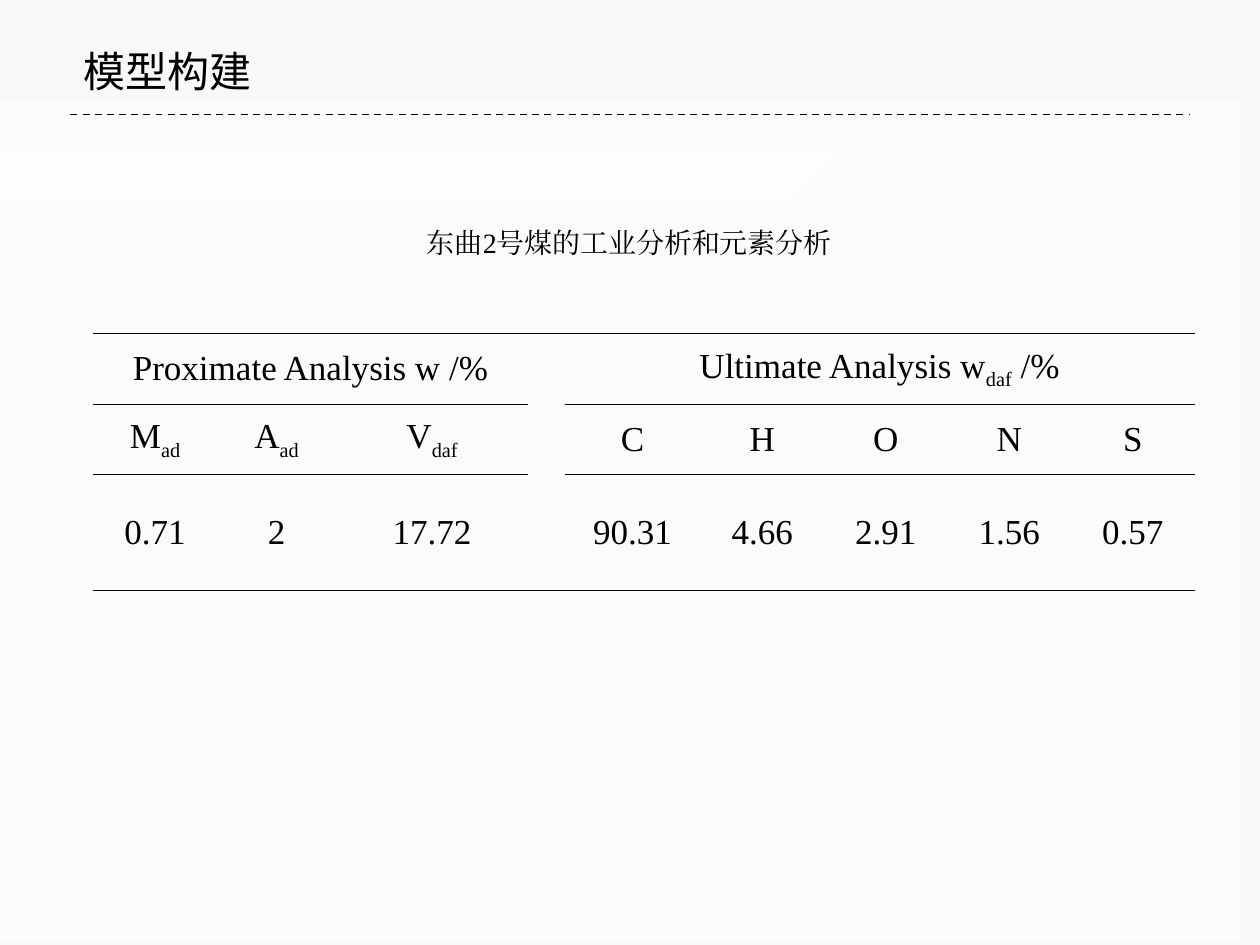
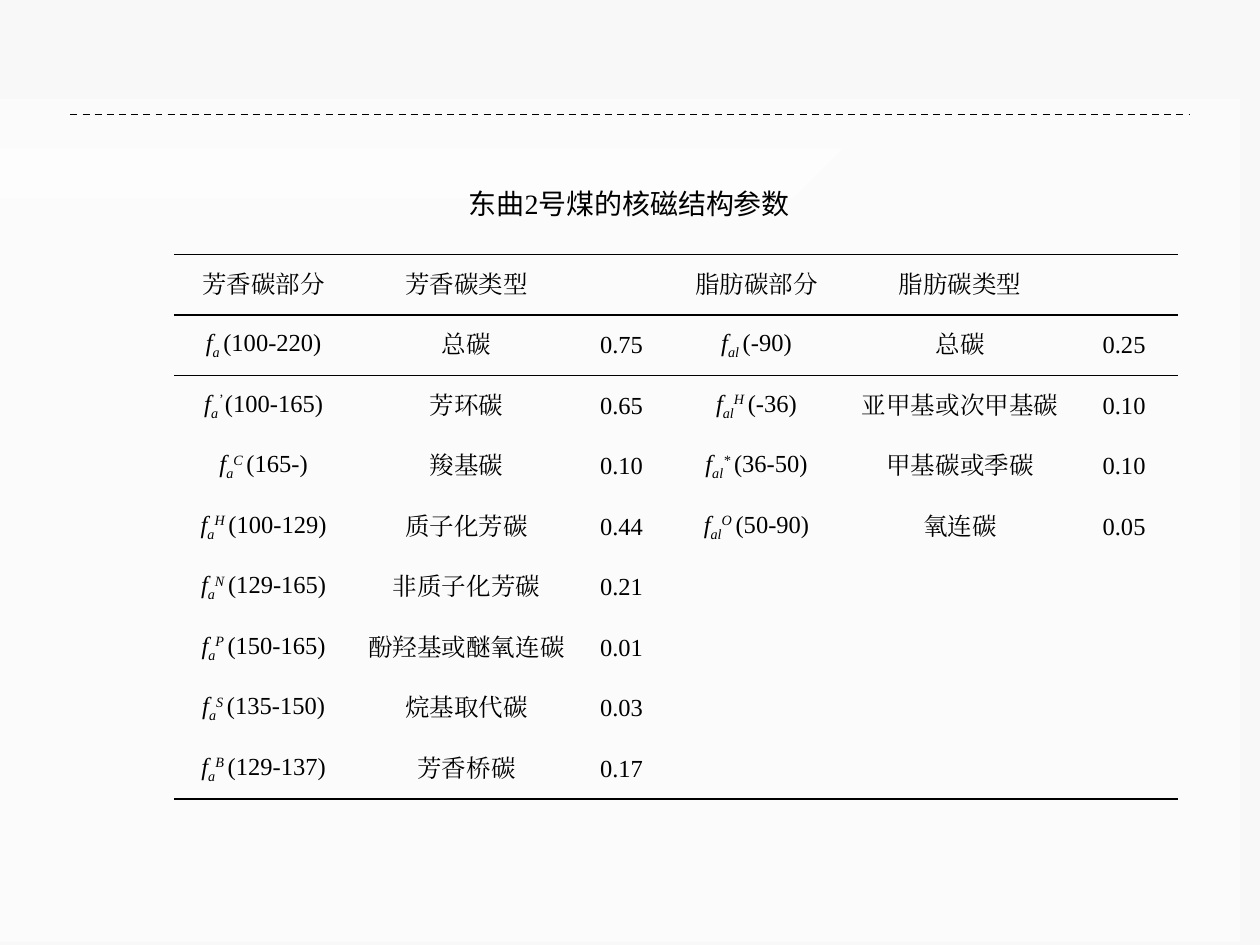
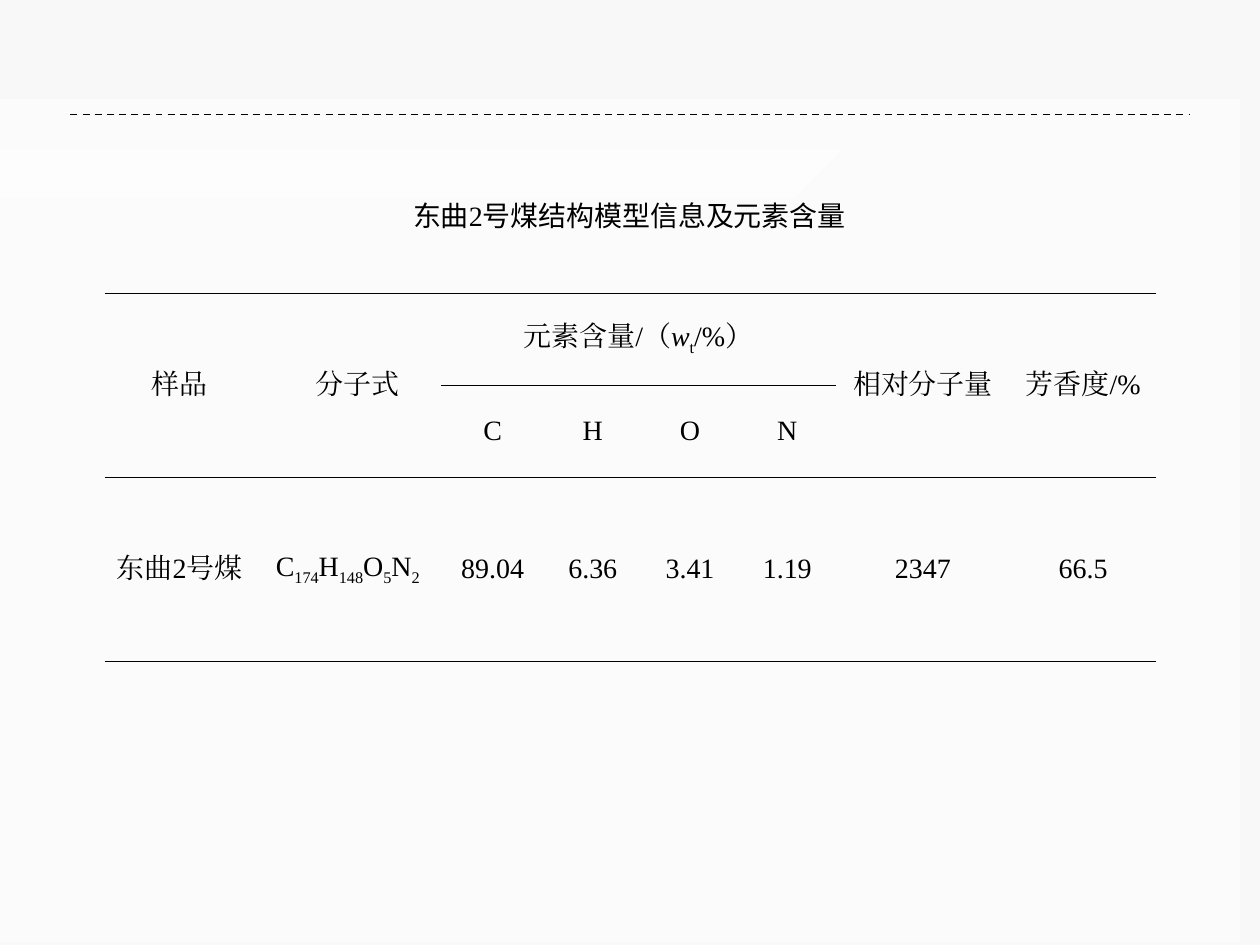
from lxml.etree import SubElement
from pptx import Presentation
from pptx.dml.color import RGBColor
from pptx.enum.dml import MSO_LINE_DASH_STYLE as Dash
from pptx.enum.shapes import MSO_CONNECTOR as Connector
from pptx.enum.text import MSO_ANCHOR as Anchor, PP_ALIGN as Align
from pptx.oxml import parse_xml
from pptx.oxml.ns import nsdecls, qn
from pptx.util import Cm, Pt

COLORS = {"ink": "000000", "paper": "F8F8F8", "band": "FFFFFF"}
SERIF, SANS, CJK = "Times New Roman", "Arial", "Noto Sans CJK SC"
NO_STYLE = "{2D5ABB26-0587-4C30-8999-92F81FD0307C}"
BASELINES = {"_": "-25000", "^": "30000"}
THIN, MEDIUM = 0.5, 1

# Outlines of the two translucent bands, in centimetres
BANDS = [
    [(0.02, 19.03), (25.48, 19.05), (25.4, 3.07), (0, 3.07)],
    [(25.35, 1.96), (10.82, 1.93), (10.36, 1.96), (9.6, 2.31),
     (9.04, 2.44), (0, 2.41), (0, 3.81), (15.9, 3.81),
     (16.21, 3.73), (17.12, 3.33), (17.58, 3.3), (25.37, 3.3)],
]


def rgb(name):
    return RGBColor.from_string(COLORS[name])


def carbon(sub, sup, shift):
    """Markup for a carbon fraction symbol and its chemical shift range."""
    marks = f"~_{sub}|~^{sup} " if sup else f"~_{sub} "
    return f"~f|{marks}|({shift})"


class SlideBuilder:
    """Holds the shared style and the slide being built."""

    def __init__(self):
        self.deck = Presentation()
        self.deck.slide_width, self.deck.slide_height = Cm(25.4), Cm(19.05)
        self.page = None

    def start_page(self):
        self.page = self.deck.slides.add_slide(self.deck.slide_layouts[6])
        fill = self.page.background.fill
        fill.solid()
        fill.fore_color.rgb = rgb("paper")
        for outline in BANDS:
            self.band(outline)
        self.dashed_line(1.42, 23.98, 2.31)

    def band(self, outline):
        builder = self.page.shapes.build_freeform(*outline[0], scale=Cm(1))
        builder.add_line_segments(outline[1:], close=True)
        shape = builder.convert_to_shape()
        shape.shadow.inherit = False
        shape.line.fill.background()
        shape.fill.solid()
        shape.fill.fore_color.rgb = rgb("band")
        color = shape._element.spPr.find(".//" + qn("a:srgbClr"))
        SubElement(color, qn("a:alpha"), val="50000")

    def dashed_line(self, left, right, top):
        line = self.page.shapes.add_connector(
            Connector.STRAIGHT, Cm(left), Cm(top), Cm(right), Cm(top))
        line.line.color.rgb = rgb("ink")
        line.line.width = Pt(1)
        line.line.dash_style = Dash.DASH
        SubElement(line._element.spPr, qn("a:effectLst"))

    def style(self, span, size, font):
        span.font.size = Pt(size)
        span.font.name = font
        span.font.color.rgb = rgb("ink")
        props = span._r.get_or_add_rPr()
        SubElement(props, qn("a:ea"), typeface=font)
        return props

    def title(self, text):
        box = self.page.shapes.add_textbox(Cm(1.4), Cm(0.79), Cm(3.94), Cm(1.27))
        frame = box.text_frame
        frame.word_wrap = False
        frame.vertical_anchor = Anchor.MIDDLE
        frame.text = text
        para = frame.paragraphs[0]
        para.alignment = Align.CENTER
        self.style(para.runs[0], 24, CJK)

    def caption(self, pieces, margin, top=3.58, height=14.07):
        """Centred caption; pieces are (text, font) pairs."""
        box = self.page.shapes.add_textbox(Cm(0.97), Cm(top), Cm(23.44), Cm(height))
        frame = box.text_frame
        frame.word_wrap = True
        frame.margin_top = Cm(margin)
        para = frame.paragraphs[0]
        para.alignment = Align.CENTER
        for text, font in pieces:
            span = para.add_run()
            span.text = text
            self.style(span, 16, font)

    def rich_text(self, para, markup, size):
        """Pieces split by |, led by ~ for italic, _ for sub, ^ for superscript."""
        for piece in markup.split("|"):
            span = para.add_run()
            props = self.style(span, size, SERIF)
            if piece.startswith("~"):
                span.font.italic = True
                piece = piece[1:]
            if piece[0] in BASELINES:
                props.set("baseline", BASELINES[piece[0]])
                piece = piece[1:]
            span.text = piece

    def table(self, left, top, widths, heights, rows, size, rules, merges=()):
        """rules are (row line, first column, last column, weight), from the top."""
        table = self.page.shapes.add_table(
            len(heights), len(widths), Cm(left), Cm(top),
            Cm(sum(widths)), Cm(sum(heights))).table
        table.first_row = table.horz_banding = False
        table._tbl.tblPr.find(qn("a:tableStyleId")).text = NO_STYLE
        for column, width in zip(table.columns, widths):
            column.width = Cm(width)
        for row, height in zip(table.rows, heights):
            row.height = Cm(height)
        for row, texts in enumerate(rows):
            for column, text in enumerate(texts):
                self.cell(table.cell(row, column), text, size)
        # Later lines go in first, so that a cell's top precedes its bottom
        for line, first, last, weight in reversed(rules):
            for column in range(first, last + 1):
                self.cell_border(table, line, column, weight)
        for first_row, first_column, last_row, last_column in merges:
            table.cell(first_row, first_column).merge(
                table.cell(last_row, last_column))
        return table

    def cell(self, cell, text, size):
        cell.fill.background()
        cell.vertical_anchor = Anchor.MIDDLE
        cell.margin_left = cell.margin_right = Cm(0.18)
        cell.margin_top = cell.margin_bottom = 0
        if text:
            para = cell.text_frame.paragraphs[0]
            para.alignment = Align.CENTER
            self.rich_text(para, text, size)

    def cell_border(self, table, line, column, weight):
        count = len(table.rows)
        side = "lnT" if line < count else "lnB"
        cell = table.cell(min(line, count - 1), column)
        cell._tc.get_or_add_tcPr().insert(0, parse_xml(
            f'<a:{side} {nsdecls("a")} w="{Pt(weight)}"><a:solidFill>'
            f'<a:srgbClr val="{COLORS["ink"]}"/></a:solidFill></a:{side}>'))


def coal_analysis(builder):
    builder.start_page()
    builder.caption([("东曲2号煤的工业分析和元素分析", SERIF)], margin=0.97)
    builder.title("模型构建")
    builder.table(
        1.88, 6.73, [2.49, 2.41, 3.86, 0.74, 2.74] + [2.49] * 4, [1.42, 1.42, 2.34],
        [["Proximate Analysis w /%", "", "", "",
          "Ultimate Analysis w|_daf| /%", "", "", "", ""],
         ["M|_ad", "A|_ad", "V|_daf", "", "C", "H", "O", "N", "S"],
         ["0.71", "2", "17.72", "", "90.31", "4.66", "2.91", "1.56", "0.57"]],
        size=20,
        rules=[(0, 0, 8, THIN), (1, 0, 2, THIN), (1, 4, 8, THIN), (3, 0, 8, THIN)],
        merges=[(0, 0, 0, 2), (0, 4, 0, 8)])


def carbon_parameters(builder):
    aromatic = [
        ("", "100-220", "总碳", "0.75"),
        ("’", "100-165", "芳环碳", "0.65"),
        ("C", "165-", "羧基碳", "0.10"),
        ("H", "100-129", "质子化芳碳", "0.44"),
        ("N", "129-165", "非质子化芳碳", "0.21"),
        ("P", "150-165", "酚羟基或醚氧连碳", "0.01"),
        ("S", "135-150", "烷基取代碳", "0.03"),
        ("B", "129-137", "芳香桥碳", "0.17"),
    ]
    aliphatic = [
        ("", "-90", "总碳", "0.25"),
        ("H", "-36", "亚甲基或次甲基碳", "0.10"),
        ("*", "36-50", "甲基碳或季碳", "0.10"),
        ("O", "50-90", "氧连碳", "0.05"),
    ]
    rows = [["芳香碳部分", "芳香碳类型", "", "脂肪碳部分", "脂肪碳类型", ""]]
    rows += [[carbon("a", sup, shift), kind, value]
             for sup, shift, kind, value in aromatic]
    for row, (sup, shift, kind, value) in zip(rows[1:], aliphatic):
        row += [carbon("al", sup, shift), kind, value]
    for row in rows:
        row += [""] * (6 - len(row))

    builder.start_page()
    builder.caption([("东曲", SANS), ("2", SERIF), ("号煤的核磁结构参数", SANS)],
                    margin=0.19)
    builder.table(
        3.51, 5.13, [3.61, 4.57, 1.68, 3.76, 4.45, 2.16], [1.22] * len(rows),
        rows, size=14,
        rules=[(line, 0, 5, MEDIUM) for line in (0, 1, len(rows))])


def model_composition(builder):
    builder.start_page()
    builder.caption([("东曲", SANS), ("2", SERIF), ("号煤", SANS),
                     ("结构模型信息及元素含量", CJK)],
                    margin=1.62, top=2.39, height=15.27)
    table = builder.table(
        2.11, 5.92, [3.02, 3.76, 2.08, 1.96, 1.96, 1.96, 3.51, 2.95],
        [1.85, 1.85, 3.71],
        [["样品", "分子式", "元素含量/（|~w|_t|/%）", "", "", "",
          "相对分子量", "芳香度/%"],
         ["", "", "C", "H", "O", "N", "", ""],
         ["东曲2号煤", "C|_174|H|_148|O|_5|N|_2",
          "89.04", "6.36", "3.41", "1.19", "2347", "66.5"]],
        size=16,
        rules=[(0, 0, 7, MEDIUM), (1, 2, 5, THIN), (2, 0, 7, THIN), (3, 0, 7, MEDIUM)],
        merges=[(0, 2, 0, 5)] + [(0, column, 1, column) for column in (0, 1, 6, 7)])
    formula = table.cell(0, 1).text_frame.paragraphs[0]
    formula._p.get_or_add_pPr().set("indent", str(Cm(0.38)))


def main():
    builder = SlideBuilder()
    coal_analysis(builder)
    carbon_parameters(builder)
    model_composition(builder)
    builder.deck.save("out.pptx")


if __name__ == "__main__":
    main()
